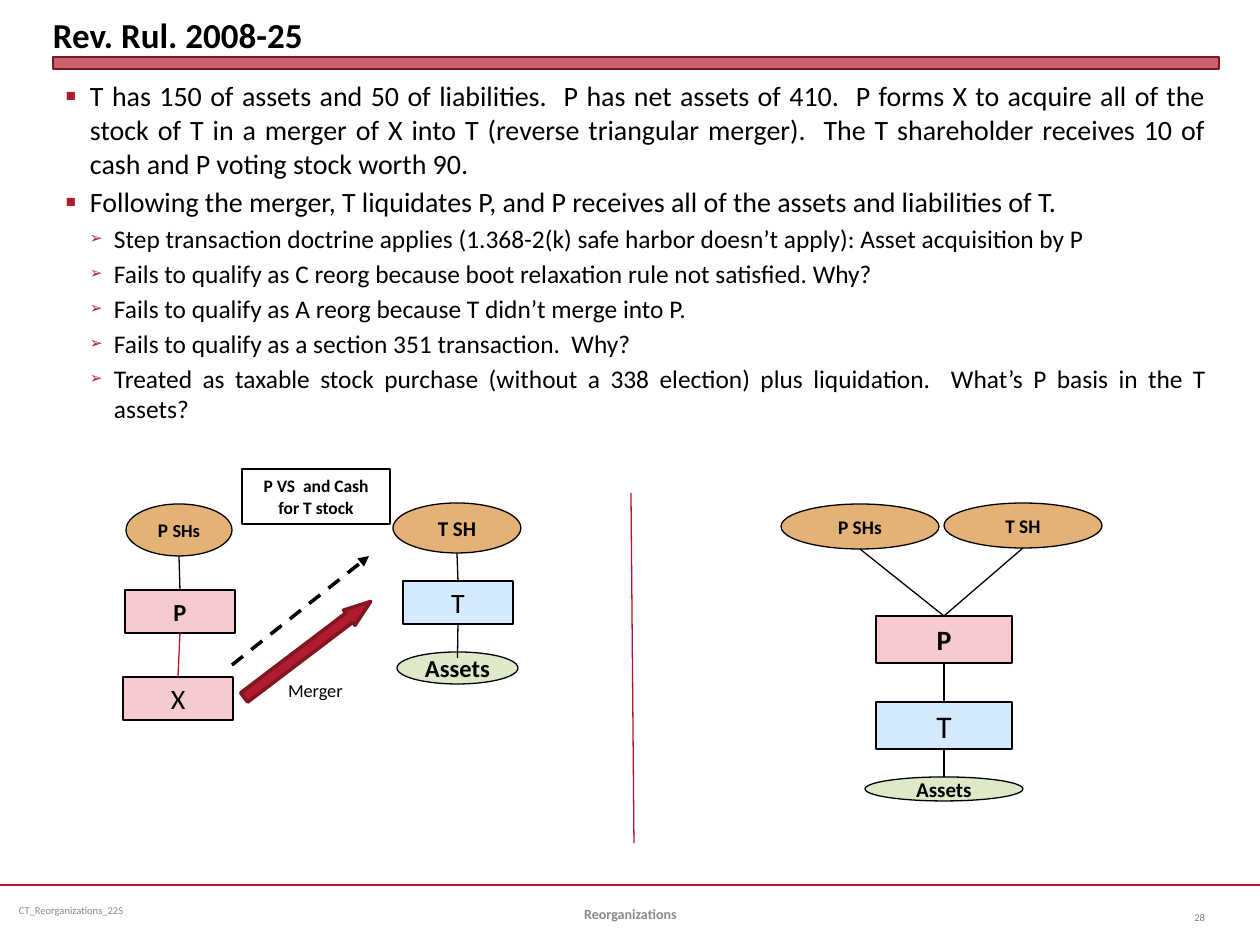
from dataclasses import dataclass

from lxml import etree
from pptx import Presentation
from pptx import util as u
from pptx.dml.color import RGBColor
from pptx.enum import dml, shapes, text
from pptx.oxml.ns import qn

PX = 9144000 / 1260


@dataclass(frozen=True)
class Theme:
    font: str = "Calibri"
    ink: str = "000000"
    red: str = "B01C2E"
    dark_red: str = "821522"
    rule_red: str = "B0182A"
    grey: str = "898989"
    number_grey: str = "808080"
    holder: str = "E3B276"
    parent: str = "F7CAD0"
    target: str = "D6EAFF"
    assets: str = "DEE9C9"
    title: float = 20
    body: float = 16
    detail: float = 14.5
    label: float = 10.5
    footer: float = 8
    small: float = 6
    thin: float = 0.75
    thick: float = 2


THEME = Theme()
RECT = shapes.MSO_SHAPE.RECTANGLE
OVAL = shapes.MSO_SHAPE.OVAL
TOP, BOTTOM = 0, 2
CENTER = text.PP_ALIGN.CENTER
MIDDLE = text.MSO_ANCHOR.MIDDLE


def px(value):
    return u.Emu(round(value * PX))


def within(box, left, top, width, height):
    return box[0] + left, box[1] + top, width, height


def apply(target, values):
    for name, value in values.items():
        setattr(target, name, value)


def add_span(para, words, size, color=THEME.ink, bold=False):
    span = para.add_run()
    span.text = words
    apply(span.font, {"name": THEME.font, "size": u.Pt(size), "bold": bold})
    span.font.color.rgb = RGBColor.from_string(color)


def set_frame(frame, inset_x=0, inset_y=0, **values):
    apply(frame, {"margin_left": px(inset_x), "margin_right": px(inset_x),
                  "margin_top": px(inset_y), "margin_bottom": px(inset_y),
                  "word_wrap": True, **values})


def add_text(page, box, words, size, color=THEME.ink, bold=False, align=None, **frame):
    shape = page.shapes.add_textbox(*map(px, box))
    set_frame(shape.text_frame, **{"inset_x": 13, "inset_y": 6, **frame})
    para = shape.text_frame.paragraphs[0]
    para.alignment = align
    add_span(para, words, size, color, bold)
    return shape


def set_line(line, color, width):
    line.color.rgb = RGBColor.from_string(color)
    line.width = u.Pt(width)


def add_shape(page, kind, box, fill, line_color=THEME.ink, line_width=THEME.thin):
    shape = page.shapes.add_shape(kind, *map(px, box))
    shape.shadow.inherit = False
    shape.fill.solid()
    shape.fill.fore_color.rgb = RGBColor.from_string(fill)
    set_line(shape.line, line_color, line_width)
    return shape


def add_node(page, kind, box, fill, spans, bold=True):
    shape = add_shape(page, kind, box, fill)
    set_frame(shape.text_frame, word_wrap=False, vertical_anchor=MIDDLE)
    para = shape.text_frame.paragraphs[0]
    para.alignment = CENTER
    for words, size in spans:
        add_span(para, words, size, bold=bold)
    return shape


def add_line(page, start, end, color=THEME.ink, width=THEME.thin):
    line = page.shapes.add_connector(shapes.MSO_CONNECTOR.STRAIGHT, *map(px, start + end))
    set_line(line.line, color, width)
    etree.SubElement(line._element.spPr, qn("a:effectLst"))
    return line


def join(page, upper, lower, color=THEME.ink, overlap=0):
    start = ((upper.left + upper.width / 2) / PX, (upper.top + upper.height) / PX)
    end = ((lower.left + lower.width / 2) / PX, lower.top / PX + overlap)
    line = add_line(page, start, end, color)
    if upper.auto_shape_type == RECT:
        line.begin_connect(upper, BOTTOM)
    if lower.auto_shape_type == RECT:
        line.end_connect(lower, TOP)


def add_bullet(para, mark, left):
    properties = para._p.get_or_add_pPr()
    properties.set("marL", str(px(left)))
    properties.set("indent", str(px(-24)))
    color = etree.SubElement(properties, qn("a:buClr"))
    etree.SubElement(color, qn("a:srgbClr"), val=THEME.red)
    etree.SubElement(properties, qn("a:buSzPct"), val="60000")
    etree.SubElement(properties, qn("a:buFont"), typeface="Arial")
    etree.SubElement(properties, qn("a:buChar"), char=mark)


def build_heading(page, box):
    left, top, width, height = box
    title = page.shapes.title
    apply(title, {"left": px(left), "top": px(top), "width": px(width), "height": px(50)})
    set_frame(title.text_frame, vertical_anchor=text.MSO_ANCHOR.BOTTOM)
    para = title.text_frame.paragraphs[0]
    para.alignment = text.PP_ALIGN.LEFT
    add_span(para, "Rev. Rul. 2008-25", THEME.title, bold=True)
    bar = add_shape(page, RECT, within(box, 0, height - 12, width, 12), THEME.red, THEME.dark_red, 0)
    color = bar.fill._xPr.find(qn("a:solidFill"))[0]
    etree.SubElement(color, qn("a:alpha"), val="69000")


def build_body(page, box):
    points = [
        (0, "T has 150 of assets and 50 of liabilities.  P has net assets of 410.  P forms X to acquire "
            "all of the stock of T in a merger of X into T (reverse triangular merger).  The T "
            "shareholder receives 10 of cash and P voting stock worth 90."),
        (0, "Following the merger, T liquidates P, and P receives all of the assets and liabilities of T."),
        (1, "Step transaction doctrine applies (1.368-2(k) safe harbor doesn’t apply): Asset acquisition by P"),
        (1, "Fails to qualify as C reorg because boot relaxation rule not satisfied. Why?"),
        (1, "Fails to qualify as A reorg because T didn’t merge into P."),
        (1, "Fails to qualify as a section 351 transaction.  Why?"),
        (1, "Treated as taxable stock purchase (without a 338 election) plus liquidation.  "
            "What’s P basis in the T assets?"),
    ]
    frame = page.shapes.add_textbox(*map(px, box)).text_frame
    set_frame(frame, 13, 6)
    for index, (level, words) in enumerate(points):
        size = (THEME.body, THEME.detail)[level]
        para = frame.add_paragraph() if index else frame.paragraphs[0]
        apply(para, {"alignment": text.PP_ALIGN.JUSTIFY, "level": level})
        if index:
            para.space_before = u.Pt(round(size * 0.18, 1))
        add_bullet(para, "■➢"[level], 24 * (level + 1))
        add_span(para, words, size)


def build_merger(page, box):
    p = add_node(page, RECT, within(box, 2, 121, 110, 43), THEME.parent, [("P", 14)])
    x = add_node(page, RECT, within(box, 0, 208, 110, 43), THEME.parent, [("X", 16)], False)
    t = add_node(page, RECT, within(box, 280, 112, 110, 43), THEME.target, [("T", 16)], False)
    p_holders = add_node(page, OVAL, within(box, 3, 35, 106, 52), THEME.holder, [("P ", 11), ("SHs", 10.5)])
    t_holder = add_node(page, OVAL, within(box, 270, 34, 128, 50), THEME.holder, [("T SH", 12)])
    assets = add_node(page, OVAL, within(box, 274, 183, 121, 32), THEME.assets, [("Assets", 14)])
    join(page, p_holders, p)
    join(page, p, x, THEME.rule_red)
    join(page, t_holder, t)
    join(page, t, assets, overlap=6)

    left, top = box[:2]
    exchange = add_line(page, (left + 109, top + 196), (left + 246, top + 87), width=THEME.thick)
    exchange.line.dash_style = dml.MSO_LINE.DASH
    etree.SubElement(exchange.line._get_or_add_ln(), qn("a:tailEnd"), type="triangle")
    price = add_text(page, within(box, 119, 0, 148, 55), "P VS  and Cash for T stock", 10,
                     bold=True, align=CENTER, vertical_anchor=MIDDLE)
    set_line(price.line, THEME.ink, THEME.thin)
    arrow = add_shape(page, shapes.MSO_SHAPE.RIGHT_ARROW, within(box, 105, 171, 159, 19),
                      THEME.red, THEME.dark_red, THEME.thick)
    arrow.rotation = 322.8
    arrow.adjustments[0], arrow.adjustments[1] = 0.61, 1.42
    add_text(page, within(box, 152, 204, 134, 37), "Merger", THEME.label)


def build_result(page, box):
    p = add_node(page, RECT, within(box, 95, 113, 136, 47), THEME.parent, [("P", 16)])
    t = add_node(page, RECT, within(box, 95, 199, 136, 47), THEME.target, [("T", 18)], False)
    assets = add_node(page, OVAL, within(box, 84, 274, 158, 24), THEME.assets, [("Assets", 12)])
    for words, left, top in (("P SHs", 0, 1), ("T SH", 163, 0)):
        holder = add_node(page, OVAL, within(box, left, top, 158, 45), THEME.holder, [(words, 11)])
        join(page, holder, p)
    join(page, p, t)
    join(page, t, assets)


def build_footer(page, box):
    left, top, width, _ = box
    add_line(page, (left, top), (left + width, top), THEME.red, 1.25)
    add_text(page, within(box, 10, 0, 325, 50), "CT_Reorganizations_22S", THEME.small, THEME.grey,
             inset_x=9, inset_y=5, vertical_anchor=MIDDLE)
    add_text(page, within(box, 431, 4, 399, 50), "Reorganizations", THEME.footer, THEME.grey,
             bold=True, align=CENTER, vertical_anchor=MIDDLE)
    add_text(page, within(box, 1155, 7, 63, 50), "28", THEME.small, THEME.number_grey,
             align=text.PP_ALIGN.RIGHT, vertical_anchor=MIDDLE)


def main():
    deck = Presentation()
    apply(deck, {"slide_width": px(1260), "slide_height": px(945)})
    page = deck.slides.add_slide(deck.slide_layouts[5])
    build_heading(page, (53, 6, 1166, 63))
    build_body(page, (53, 73, 1166, 375))
    build_merger(page, (123, 469, 398, 251))
    add_line(page, (631, 493), (634, 843), THEME.rule_red)
    build_result(page, (781, 503, 321, 298))
    build_footer(page, (0, 885, 1260, 60))
    deck.save("out.pptx")


if __name__ == "__main__":
    main()
